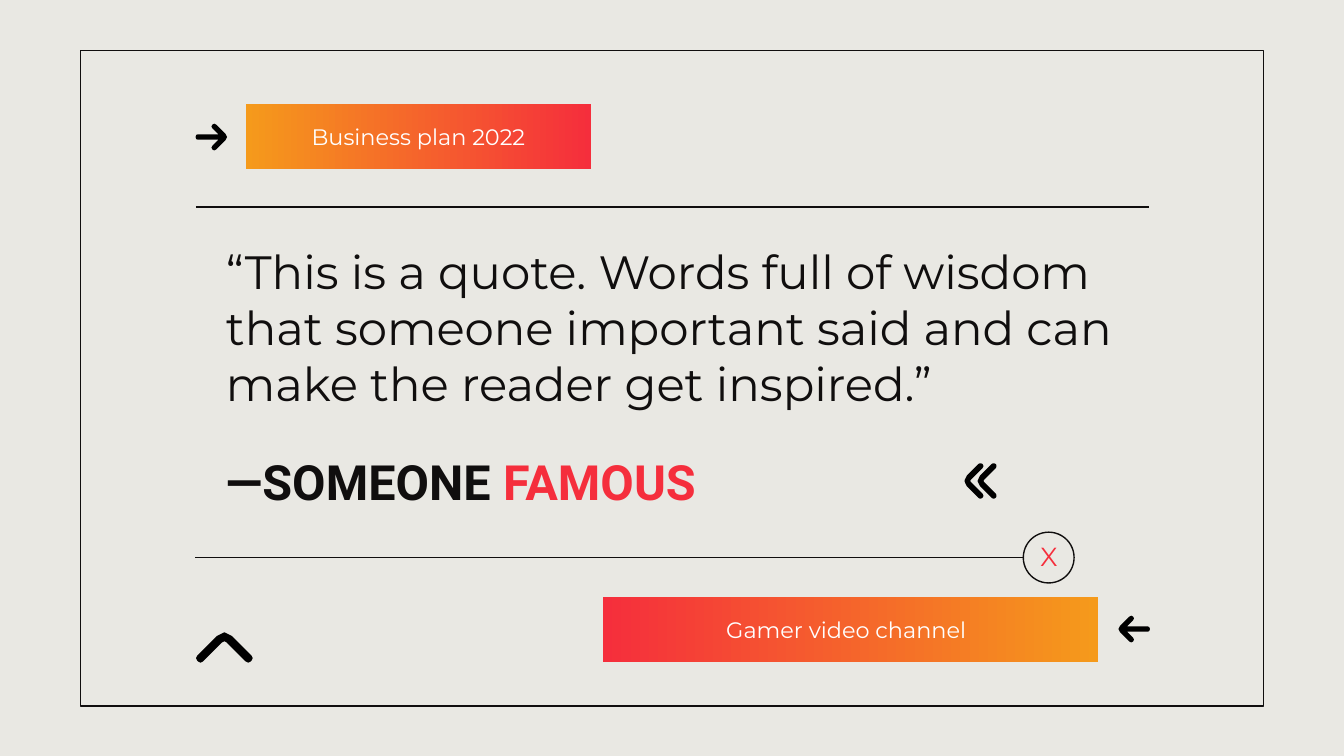
from lxml.etree import SubElement
from pptx import Presentation
from pptx.dml.color import RGBColor
from pptx.enum.shapes import MSO_CONNECTOR as Connector, MSO_SHAPE as Shape
from pptx.enum.text import MSO_ANCHOR as Anchor, MSO_AUTO_SIZE as AutoSize, PP_ALIGN as Align
from pptx.oxml.ns import qn
from pptx.util import Cm, Pt

COLORS = {"paper": "E9E8E3", "ink": "100E0E", "black": "000000",
          "red": "F52E3C", "orange": "F59A1B", "white": "FFFFFF"}

TITLE = [("—SOMEONE ", "ink"), ("FAMOUS", "red")]
QUOTE = [("“This is a quote. Words full of wisdom that someone important said "
          "and can make the reader get inspired.”", "ink")]
TITLE_BOX = (4.01, 8.13, 16.1, 1.93)
QUOTE_BOX = (4.02, 4.24, 17.3, 3.89)
FRAME_BOX = (1.52, 0.95, 22.36, 12.4)
CLOSE_BOX = (19.34, 10.06, 0.96, 0.96)
RULES = [(3.7, 21.72, 3.91), (3.69, 19.34, 10.54)]
BANNERS = [((4.65, 1.96, 6.52, 1.23), ("orange", "red")),
           ((11.4, 11.28, 9.35, 1.23), ("red", "orange"))]
LABELS = [("Business plan 2022", (5.52, 2.27, 4.78, 0.61), 12, "white"),
          ("X", (19.14, 10.19, 1.37, 0.66), 14, "red"),
          ("Gamer video channel", (12.68, 11.59, 6.63, 0.61), 12, "white")]

RIGHT, LEFT, UP = (1, 0), (-1, 0), (0, -1)
ARROW = [(0.03, 0, 0.08), (-0.24, 0.27, 0.05), (-0.31, 0.2, 0.05),
         (-0.16, 0.05, 0), (-0.59, 0.05, 0.04)]
CHEVRON = [(0.06, 0, 0.2), (-0.5, 0.56, 0.07), (-0.61, 0.45, 0.07), (-0.16, 0, 0.06)]
ANGLE = [(0.04, 0, 0.12), (-0.28, 0.32, 0.03), (-0.32, 0.28, 0.03), (-0.04, 0, 0.05)]
ICONS = [(ARROW, (4.29, 2.59), RIGHT), (ARROW, (21.14, 11.89), LEFT),
         (CHEVRON, (4.24, 11.94), UP)]
ANGLE_TIPS = [(18.25, 9.09), (18.5, 9.09)]


def color(name):
    return RGBColor.from_string(COLORS[name])


def lengths(values):
    return [Cm(value) for value in values]


def write(shape, runs, size, font="Montserrat", bold=False, align=Align.LEFT):
    frame = shape.text_frame
    frame.word_wrap = True
    frame.auto_size = AutoSize.NONE
    frame.vertical_anchor = Anchor.MIDDLE
    frame.margin_left = frame.margin_right = Cm(0.25)
    frame.margin_top = frame.margin_bottom = Cm(0.25)
    paragraph = frame.paragraphs[0]
    paragraph.alignment = align
    paragraph.space_before = Pt(0)
    for text, tint in runs:
        run = paragraph.add_run()
        run.text = text
        run.font.size, run.font.name, run.font.bold = Pt(size), font, bold
        run.font.color.rgb = color(tint)


def place(shape, box):
    shape.left, shape.top, shape.width, shape.height = lengths(box)


def add_outline(slide, kind, box):
    shape = slide.shapes.add_shape(kind, *lengths(box))
    shape.shadow.inherit = False
    shape.fill.background()
    shape.line.color.rgb = color("ink")
    shape.line.width = Pt(0.75)


def add_banner(slide, box, tints):
    shape = slide.shapes.add_shape(Shape.RECTANGLE, *lengths(box))
    shape.shadow.inherit = False
    shape.line.fill.background()
    shape.fill.gradient()
    shape.fill.gradient_angle = 0
    for stop, tint in zip(shape.fill.gradient_stops, tints):
        stop.color.rgb = color(tint)


def add_rule(slide, start, end, height):
    rule = slide.shapes.add_connector(Connector.STRAIGHT, *lengths((start, height, end, height)))
    rule.line.color.rgb = color("ink")
    rule.line.width = Pt(0.75)
    SubElement(rule.element.spPr, qn("a:effectLst"))


def toward(start, end, distance):
    length = ((end[0] - start[0]) ** 2 + (end[1] - start[1]) ** 2) ** 0.5
    return [a + (b - a) * distance / length for a, b in zip(start, end)]


def rounded(corners):
    points = []
    for index, (x, y, cut) in enumerate(corners):
        if not cut:
            points.append((x, y))
            continue
        before = toward((x, y), corners[index - 1][:2], cut)
        after = toward((x, y), corners[(index + 1) % len(corners)][:2], cut)
        middle = [(a + 2 * b + c) / 4 for a, b, c in zip(before, (x, y), after)]
        points += [before, middle, after]
    return points


def add_icon(shapes, half, tip, direction, fill="black", line_width=None):
    """Draw a rounded icon, symmetric about its axis, with its tip at the given point."""
    mirrored = [(x, -y, cut) for x, y, cut in reversed(half) if y]
    (dx, dy), (left, top) = direction, tip
    points = [(Cm(left + x * dx - y * dy), Cm(top + x * dy + y * dx))
              for x, y in rounded(half + mirrored)]
    builder = shapes.build_freeform(*points[0])
    builder.add_line_segments(points[1:], close=True)
    icon = builder.convert_to_shape()
    icon.shadow.inherit = False
    icon.fill.solid()
    icon.fill.fore_color.rgb = color(fill)
    if line_width:
        icon.line.color.rgb = color("black")
        icon.line.width = Pt(line_width)
    else:
        icon.line.fill.background()


def main():
    presentation = Presentation()
    presentation.slide_width, presentation.slide_height = Cm(25.4), Cm(14.29)
    slide = presentation.slides.add_slide(presentation.slide_layouts[0])
    slide.background.fill.solid()
    slide.background.fill.fore_color.rgb = color("paper")

    title, quote = slide.placeholders
    place(title, TITLE_BOX)
    write(title, TITLE, 26, font="Roboto", bold=True)
    place(quote, QUOTE_BOX)
    write(quote, QUOTE, 25)

    add_outline(slide, Shape.RECTANGLE, FRAME_BOX)
    add_outline(slide, Shape.OVAL, CLOSE_BOX)
    for rule in RULES:
        add_rule(slide, *rule)
    for box, tints in BANNERS:
        add_banner(slide, box, tints)
    for text, box, size, tint in LABELS:
        write(slide.shapes.add_textbox(*lengths(box)), [(text, tint)], size, align=Align.CENTER)
    for half, tip, direction in ICONS:
        add_icon(slide.shapes, half, tip, direction)
    angles = slide.shapes.add_group_shape()
    for tip in ANGLE_TIPS:
        add_icon(angles.shapes, ANGLE, tip, LEFT, fill="ink", line_width=1.5)
    presentation.save("out.pptx")


if __name__ == "__main__":
    main()
